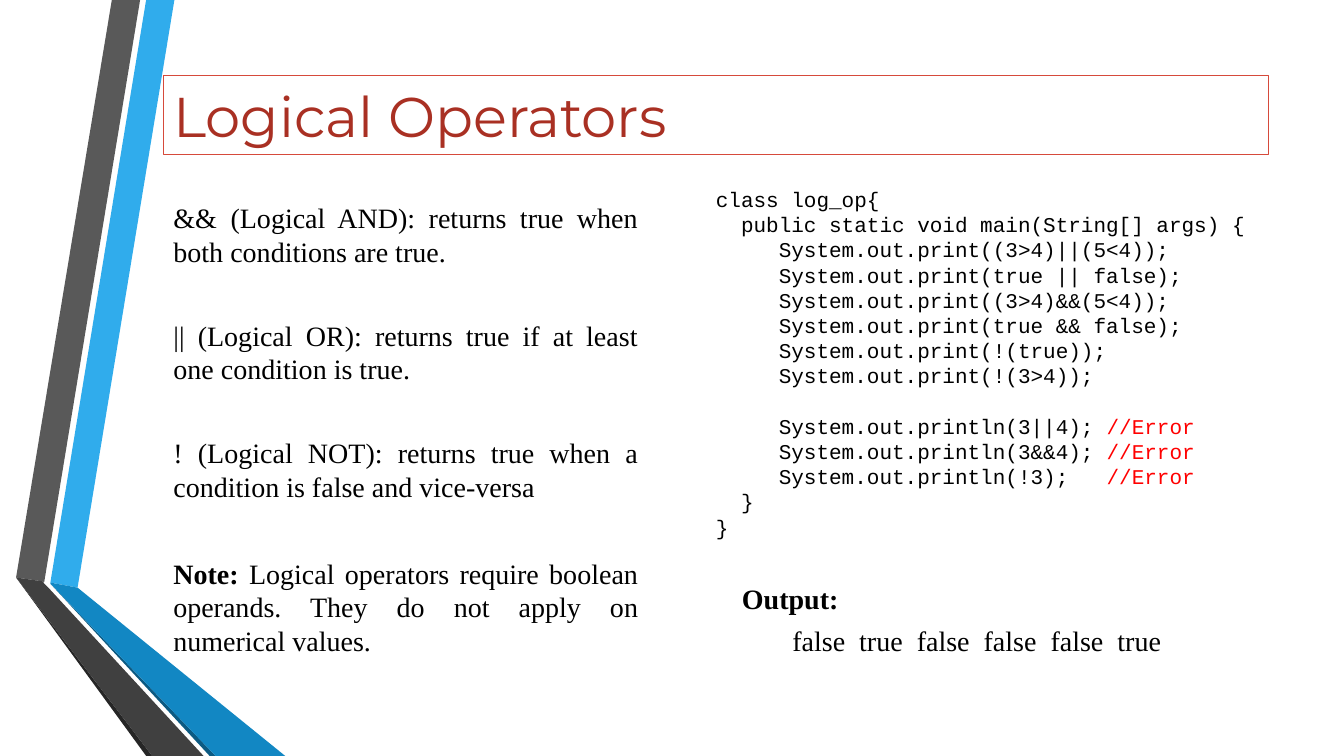
from pptx import Presentation
from pptx.dml.color import RGBColor
from pptx.enum.text import MSO_ANCHOR as Anchor, MSO_AUTO_SIZE as AutoSize, PP_ALIGN as Align
from pptx.util import Inches, Pt


def color(hex_string):
    return RGBColor.from_string(hex_string)


def write(shape, lines, font, size, align, after=0):
    """Each line is a list of (text, hex colour, bold) runs."""
    frame = shape.text_frame
    frame.word_wrap = True
    frame.auto_size = AutoSize.NONE
    frame.vertical_anchor = Anchor.TOP
    for index, runs in enumerate(lines):
        paragraph = frame.add_paragraph() if index else frame.paragraphs[0]
        paragraph.alignment = align
        paragraph.line_spacing = Pt(size * 1.2)
        paragraph.space_before = Pt(0)
        paragraph.space_after = Pt(after)
        properties = paragraph._p.get_or_add_pPr()
        properties.set("marL", "0")
        properties.set("indent", "0")
        properties.get_or_change_to_buNone() if hasattr(properties, "get_or_change_to_buNone") else \
            properties.append(properties.makeelement(
                "{http://schemas.openxmlformats.org/drawingml/2006/main}buNone", {}))
        for text, hex_string, bold in runs:
            run = paragraph.add_run()
            run.text = text
            run.font.name = font
            run.font.size = Pt(size)
            run.font.bold = bold
            run.font.color.rgb = color(hex_string)
    return frame.paragraphs


presentation = Presentation()
presentation.slide_width = Inches(13.33)
presentation.slide_height = Inches(7.5)
slide = presentation.slides.add_slide(presentation.slide_layouts[3])
title, operators, code = slide.placeholders

# Folded ribbons on the left, behind everything else
ribbons = [
    ("30ACEC", [(0.5, 5.78), (0.77, 5.83), (1.73, 0), (1.45, 0)]),
    ("595959", [(1.39, 0), (1.11, 0), (0.16, 5.73), (0.44, 5.77)]),
    ("262626", [(0.16, 5.73), (1.45, 7.5), (1.51, 7.5)]),
    ("0C5A82", [(0.5, 5.79), (2.08, 7.5), (2.14, 7.5)]),
    ("1287C3", [(0.5, 5.79), (2.14, 7.5), (2.83, 7.5), (0.77, 5.83), (0.5, 5.78)]),
    ("404040", [(2.02, 7.5), (0.48, 5.83), (0.43, 5.78), (0.44, 5.77), (0.16, 5.73), (1.51, 7.5)]),
]
for depth, (fill, points) in enumerate(ribbons):
    corners = [(Inches(x), Inches(y)) for x, y in points]
    builder = slide.shapes.build_freeform(*corners[0], scale=1.0)
    builder.add_line_segments(corners[1:], close=True)
    ribbon = builder.convert_to_shape()
    ribbon.fill.solid()
    ribbon.fill.fore_color.rgb = color(fill)
    ribbon.line.fill.background()
    ribbon.shadow.inherit = False
    slide.shapes._spTree.insert(2 + depth, ribbon._element)

# Places of the text blocks
note = slide.shapes.add_textbox(0, 0, 0, 0)
output = slide.shapes.add_textbox(0, 0, 0, 0)
places = [
    (title, 1.62, 0.75, 10.96, 0.78),
    (operators, 1.62, 1.94, 4.81, 3.13),
    (code, 7, 1.8, 5.58, 3.64),
    (note, 1.62, 5.47, 4.81, 1.11),
    (output, 7.26, 5.72, 4.82, 0.86),
]
for shape, left, top, width, height in places:
    shape.left, shape.top = Inches(left), Inches(top)
    shape.width, shape.height = Inches(width), Inches(height)

# Title
title.line.color.rgb = color("D64A3B")
title.line.width = Pt(0.75)
title_frame = title.text_frame
title_frame.auto_size = AutoSize.NONE
title_frame.vertical_anchor = Anchor.MIDDLE
title_frame.paragraphs[0].alignment = Align.LEFT
title_run = title_frame.paragraphs[0].add_run()
title_run.text = "Logical Operators"
title_run.font.name = "Montserrat"
title_run.font.size = Pt(40)
title_run.font.color.rgb = color("A93023")

# Operators and note
definitions = [
    "&& (Logical AND): returns true when both conditions are true.",
    "|| (Logical OR): returns true if at least one condition is true.",
    "! (Logical NOT): returns true when a condition is false and vice-versa",
]
write(operators, [[(text, "000000", False)] for text in definitions],
      "Times New Roman", 20, Align.JUSTIFY, after=36)
write(note, [[
    ("Note:", "000000", True),
    (" Logical operators require boolean operands. They do not apply on numerical values.",
     "000000", False),
]], "Times New Roman", 20, Align.JUSTIFY, after=6)

# Code listing, with error comments in red
code.fill.solid()
code.fill.fore_color.rgb = color("FFFFFF")
listing = """class log_op{
  public static void main(String[] args) {
     System.out.print((3>4)||(5<4));
     System.out.print(true || false);
     System.out.print((3>4)&&(5<4));
     System.out.print(true && false);
     System.out.print(!(true));
     System.out.print(!(3>4));
     System.out.println(3||4); //Error
     System.out.println(3&&4); //Error
     System.out.println(!3);   //Error
  }
}"""
code_lines = []
for line in listing.splitlines():
    statement, mark, comment = line.partition("//")
    runs = [(statement, "000000", False)]
    if mark:
        runs.append((mark + comment, "FF0000", False))
    code_lines.append(runs)
code_paragraphs = write(code, code_lines, "Courier New", 15, Align.LEFT)
code_paragraphs[8].space_before = Pt(18)

# Output, with the values indented
output_paragraphs = write(output, [
    [("Output:", "000000", True)],
    [("false  true  false  false  false  true", "000000", False)],
], "Times New Roman", 20, Align.JUSTIFY, after=6)
output_paragraphs[1]._p.get_or_add_pPr().set("marL", str(Inches(0.5)))

presentation.save("out.pptx")
